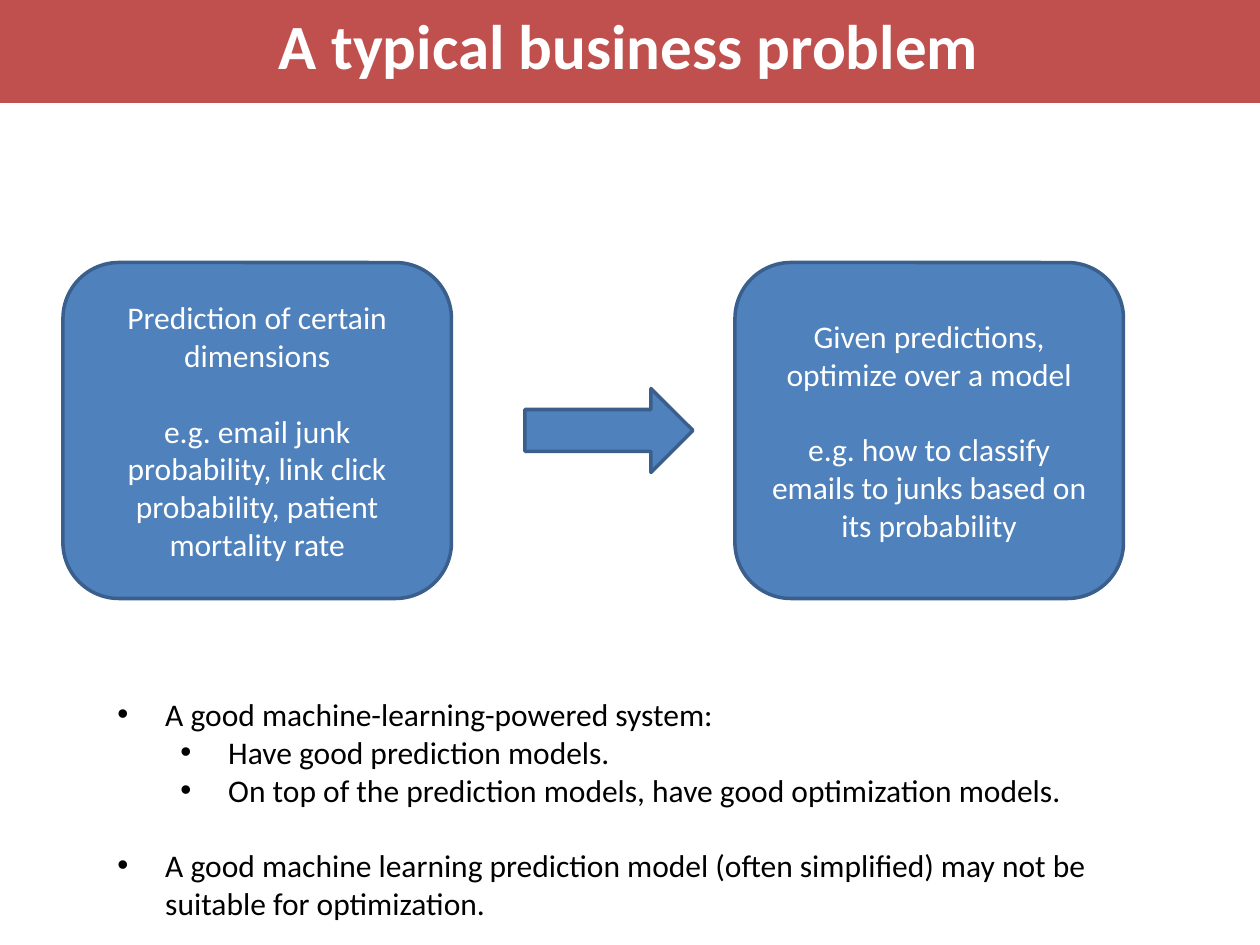
from pptx import Presentation, util as u
from pptx.dml.color import RGBColor
from pptx.enum import shapes, text
from lxml import etree

COLORS = {"banner": "C0504D", "card": "4F81BD", "edge": "3A5F8C",
          "light": "FFFFFF", "dark": "000000"}
COLS, ROWS = 120, 90
WIDTH, HEIGHT = u.Inches(10), u.Inches(7.5)
LINE_GAP = 21.6
NS = "{http://schemas.openxmlformats.org/drawingml/2006/main}"


def rgb(name):
    return RGBColor.from_string(COLORS[name])


def grid(x, y, w, h):
    return [round(v) for v in (x * WIDTH / COLS, y * HEIGHT / ROWS,
                               w * WIDTH / COLS, h * HEIGHT / ROWS)]


def add_block(s, kind, box, fill, edge=None):
    sp = s.shapes.add_shape(kind, *grid(*box))
    sp.shadow.inherit = False
    sp.fill.solid()
    sp.fill.fore_color.rgb = rgb(fill)
    if edge:
        sp.line.color.rgb = rgb(edge)
        sp.line.width = u.Pt(2)
    else:
        sp.line.fill.background()
    return sp


def add_text(p, words, size=18, color="light", bold=False,
             align=text.PP_ALIGN.CENTER, before=0, level=None):
    if level is not None:
        pPr = p._p.get_or_add_pPr()
        pPr.set("marL", str(u.Inches(0.38 + 0.5 * level)))
        pPr.set("indent", str(u.Inches(-0.38)))
        etree.SubElement(pPr, NS + "buFont", typeface="Arial")
        etree.SubElement(pPr, NS + "buChar", char="•")
        p.level = level
    p.alignment = align
    p.space_before = u.Pt(before)
    r = p.add_run()
    r.text = words
    r.font.name = "Calibri"
    r.font.size = u.Pt(size)
    r.font.bold = bold
    r.font.color.rgb = rgb(color)


def add_paragraphs(tf, items, **fmt):
    for i, (words, extra) in enumerate(items):
        p = tf.add_paragraph() if i else tf.paragraphs[0]
        add_text(p, words, **fmt, **extra)


def add_banner(s, box):
    x, y, w, h = box
    add_block(s, shapes.MSO_SHAPE.RECTANGLE, box, "banner")
    title = s.shapes.add_textbox(*grid(x + 25, y, w - 50, h - 1.3))
    tf = title.text_frame
    tf.word_wrap = False
    tf.vertical_anchor = text.MSO_ANCHOR.MIDDLE
    add_text(tf.paragraphs[0], "A typical business problem", size=36, bold=True)


def add_flow(s, box, cards):
    x, y, w, h = box
    card_w, arrow_w, arrow_h = 37, 16, 8
    for i, (heading, example) in enumerate(cards):
        left = x + i * (w - card_w)
        card = add_block(s, shapes.MSO_SHAPE.ROUNDED_RECTANGLE,
                         (left, y, card_w, h), "card", "edge")
        tf = card.text_frame
        tf.word_wrap = True
        tf.vertical_anchor = text.MSO_ANCHOR.MIDDLE
        add_paragraphs(tf, [(heading, {}), (example, {"before": LINE_GAP})])
    add_block(s, shapes.MSO_SHAPE.RIGHT_ARROW,
              (x + card_w + 7, y + (h - arrow_h) / 2, arrow_w, arrow_h),
              "card", "edge")


def add_takeaways(s, box, points):
    tf = s.shapes.add_textbox(*grid(*box)).text_frame
    tf.word_wrap = True
    add_paragraphs(tf, points, color="dark", align=text.PP_ALIGN.LEFT)


def main():
    prs = Presentation()
    prs.slide_width, prs.slide_height = WIDTH, HEIGHT
    s = prs.slides.add_slide(prs.slide_layouts[6])
    add_banner(s, (-0.2, 0, 120.2, 9.8))
    add_flow(s, (6, 25, 101, 32), [
        ("Prediction of certain dimensions",
         "e.g. email junk probability, link click probability, "
         "patient mortality rate"),
        ("Given predictions, optimize over a model",
         "e.g. how to classify emails to junks based on its probability"),
    ])
    add_takeaways(s, (10, 65.6, 102.5, 23), [
        ("A good machine-learning-powered system:", {"level": 0}),
        ("Have good prediction models.", {"level": 1}),
        ("On top of the prediction models, have good optimization models.",
         {"level": 1}),
        ("A good machine learning prediction model (often simplified) "
         "may not be suitable for optimization.",
         {"level": 0, "before": LINE_GAP}),
    ])
    prs.save("out.pptx")


if __name__ == "__main__":
    main()
